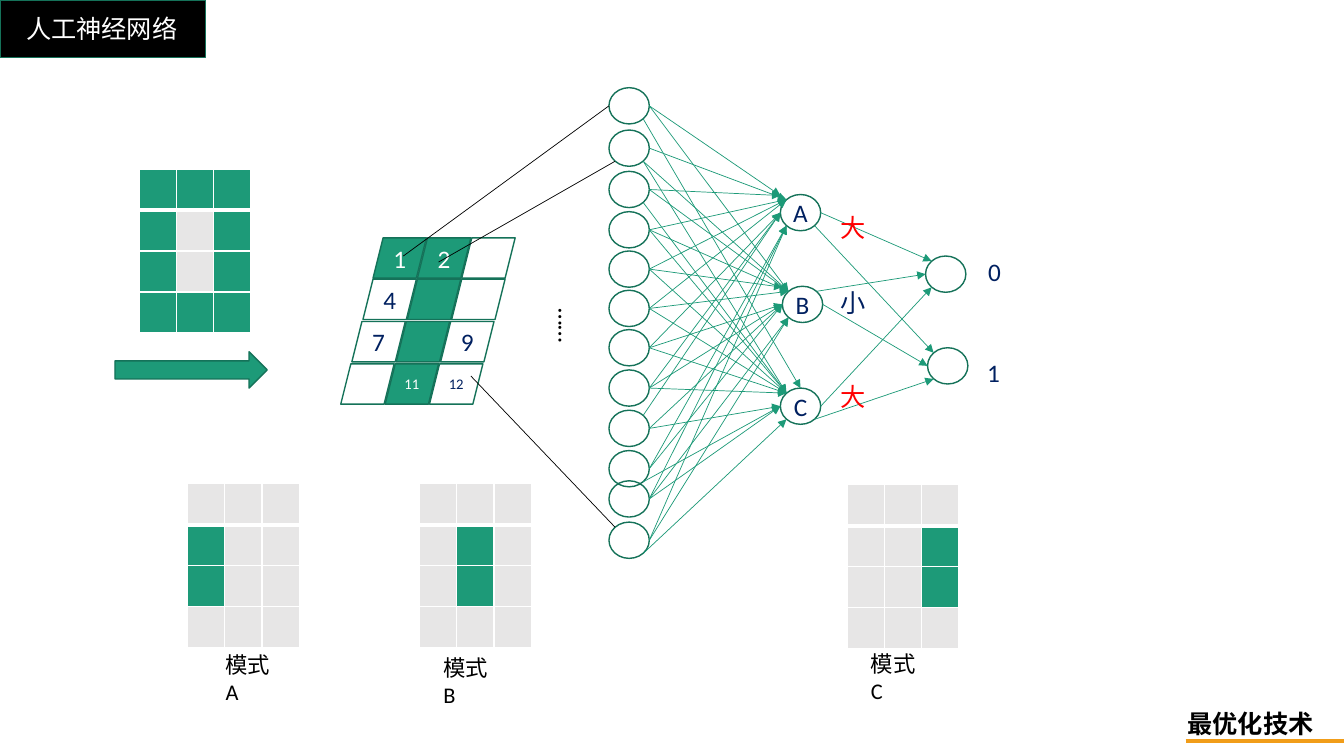
from lxml import etree
from pptx import Presentation
from pptx.dml.color import RGBColor
from pptx.enum.shapes import MSO_CONNECTOR, MSO_SHAPE
from pptx.enum.text import MSO_ANCHOR, PP_ALIGN
from pptx.oxml.ns import qn
from pptx.util import Inches, Pt

LINE = MSO_CONNECTOR.STRAIGHT
RECT, OVAL = MSO_SHAPE.RECTANGLE, MSO_SHAPE.OVAL
SLANT, ARROW = MSO_SHAPE.PARALLELOGRAM, MSO_SHAPE.RIGHT_ARROW
MID, LEFT, CENTER = MSO_ANCHOR.MIDDLE, PP_ALIGN.LEFT, PP_ALIGN.CENTER

FONT = "Calibri"
COLORS = {"green": "1D9A78", "edge": "157259", "gray": "E7E6E6", "navy": "002060",
          "black": "000000", "white": "FFFFFF", "red": "FF0000", "gold": "F19D19"}

# Slanted pixel grid: left, top, then (text, filled) per cell
PIXELS = [
    (3.70, 2.36, [("1", True), ("2", True), ("", False)]),
    (3.60, 2.77, [("4", False), ("", True), ("", False)]),
    (3.49, 3.19, [("7", False), ("", True), ("9", False)]),
    (3.38, 3.61, [("", False), ("11", True), ("12", False)]),
]
SLANT_W, SLANT_H, SLANT_STEP = 0.53, 0.4, 0.44

# Tables: left, top, rows of cells where # is green
GRIDS = [
    (1.38, 1.68, ["###", "#.#", "#.#", "###"]),
    (1.86, 4.80, ["...", "#..", "#..", "..."]),
    (4.16, 4.80, ["...", ".#.", ".#.", "..."]),
    (8.40, 4.81, ["...", "..#", "..#", "..."]),
]
CELL_W, CELL_H = 0.37, 0.4

NODE_W, NODE_H = 0.4, 0.36
INPUT_X = 6.04
INPUT_TOPS = [0.87, 1.29, 1.70, 2.10, 2.49, 2.88, 3.27, 3.67, 4.07, 4.47, 4.77, 5.18]
HIDDEN = {"A": (7.74, 1.93), "B": (7.76, 2.84), "C": (7.74, 3.85)}
OUTPUT = {"0": (9.18, 2.54), "1": (9.20, 3.45)}

# Points on a node, as offsets from its left top corner
SITES = {"c": (0, 0.01), "t": (0.2, 0), "l": (0, 0.18), "r": (0.4, 0.18),
         "tl": (0.06, 0.05), "tr": (0.34, 0.05), "bl": (0.06, 0.31), "br": (0.34, 0.31)}
# One row per input node: its links to A, B and C
LINKS = [
    "r>c r>tl br>t",
    "r>tl br>tl br>tl",
    "r>c r>tl br>tl",
    "r>tl r>tl r>tl",
    "r>tl r>c r>tl",
    "r>tl r>tl r>tl",
    "r>l r>l r>tl",
    "r>l r>l r>tl",
    "tr>l r>l r>l",
    "r>bl r>l br>l",
    "r>bl r>bl r>l",
    "r>bl r>bl br>bl",
]
# One row per hidden node: its links to 0 and 1
OUT_LINKS = {"A": "r>tl br>tl", "B": "tr>l r>l", "C": "r>bl br>bl"}
RAYS = [((4.35, 2.6), (6.1, 1.6)), ((4.67, 3.73), (6.1, 5.23)), ((4, 2.54), (6.04, 1.05))]

# Text, box, size, colour, bold, align, wrap
LABELS = [
    ("最优化技术", (11.68, 6.98, 1.46, 0.4), 18, "black", True, LEFT, False),
    ("人工神经网络", (0.16, 0.08, 1.72, 0.4), 18, "white", False, LEFT, False),
    ("模式A", (2.14, 6.41, 0.7, 0.62), 16, "black", False, LEFT, True),
    ("模式B", (4.30, 6.44, 0.7, 0.62), 16, "black", False, LEFT, True),
    ("模式C", (8.54, 6.40, 0.7, 0.62), 16, "black", False, LEFT, True),
    ("0", (9.70, 2.49, 0.33, 0.4), 18, "navy", False, CENTER, False),
    ("1", (9.69, 3.50, 0.33, 0.4), 18, "navy", False, CENTER, False),
]
# Text, colour, points of space before
WEIGHTS = [("大", "red", 0), ("小", "navy", 32), ("大", "red", 45)]

prs = Presentation()
prs.slide_width, prs.slide_height = Inches(13.33), Inches(7.5)
slide = prs.slides.add_slide(prs.slide_layouts[6])
shapes = slide.shapes


def rgb(name):
    return RGBColor.from_string(COLORS[name])


def add_run(para, text, size, color, bold=False):
    run = para.add_run()
    run.text = text
    font = run.font
    font.name, font.size, font.bold = FONT, Pt(size), bold
    font.color.rgb = rgb(color)


def add_shape(kind, box, fill=None, text="", size=18, color="navy"):
    shape = shapes.add_shape(kind, *map(Inches, box))
    shape.shadow.inherit = False
    if fill:
        shape.fill.solid()
        shape.fill.fore_color.rgb = rgb(fill)
    else:
        shape.fill.background()
    shape.line.color.rgb = rgb("edge")
    shape.line.width = Pt(1)
    if text:
        frame = shape.text_frame
        frame.margin_left = frame.margin_right = 0
        frame.margin_top = frame.margin_bottom = 0
        frame.vertical_anchor = MID
        frame.paragraphs[0].alignment = CENTER
        add_run(frame.paragraphs[0], text, size, color)


def add_line(start, end, color, width=0.5, head=False):
    line = shapes.add_connector(LINE, *map(Inches, (*start, *end)))
    line.line.color.rgb = rgb(color)
    line.line.width = Pt(width)
    if head:
        ln = line.line._get_or_add_ln()
        etree.SubElement(ln, qn("a:tailEnd"), type="triangle")
    etree.SubElement(line._element.spPr, qn("a:effectLst"))


def add_box(box, wrap=False):
    frame = shapes.add_textbox(*map(Inches, box)).text_frame
    frame.word_wrap = wrap
    return frame


def link(start, targets, plan):
    """Draw one arrow per target, between the sites the plan names."""
    for end, step in zip(targets, plan.split()):
        ends = [(x + SITES[s][0], y + SITES[s][1])
                for (x, y), s in zip((start, end), step.split(">"))]
        add_line(*ends, "green", head=True)


def add_border(cell, side, width):
    ln = etree.SubElement(cell._tc.get_or_add_tcPr(), qn("a:ln" + side), w=str(Pt(width)))
    fill = etree.SubElement(ln, qn("a:solidFill"))
    etree.SubElement(fill, qn("a:srgbClr"), val=COLORS["white"])


def add_grid(left, top, rows):
    count = len(rows[0])
    box = (left, top, CELL_W * count, CELL_H * len(rows))
    table = shapes.add_table(len(rows), count, *map(Inches, box)).table
    table.first_row = table.horz_banding = False
    for r, row in enumerate(rows):
        table.rows[r].height = Inches(CELL_H)
        for c, mark in enumerate(row):
            cell = table.cell(r, c)
            for side in "LRTB":
                thick = (r, side) in ((0, "B"), (1, "T"))
                add_border(cell, side, 3 if thick else 1)
            cell.fill.solid()
            cell.fill.fore_color.rgb = rgb("green" if mark == "#" else "gray")


add_shape(RECT, (0, 0, 2.04, 0.57), "black")
add_line((11.76, 7.35), (13.33, 7.35), "gold", 2.5)

for left, top, cells in PIXELS:
    for col, (text, on) in enumerate(cells):
        add_shape(SLANT, (left + col * SLANT_STEP, top, SLANT_W, SLANT_H),
                  "green" if on else None, text, 10.5 if len(text) > 1 else 18,
                  "white" if on else "navy")

inputs = [(INPUT_X, top) for top in INPUT_TOPS]
for spot in inputs + list(OUTPUT.values()):
    add_shape(OVAL, (*spot, NODE_W, NODE_H))
for name, spot in HIDDEN.items():
    add_shape(OVAL, (*spot, NODE_W, NODE_H), text=name)
for spot, plan in zip(inputs, LINKS):
    link(spot, HIDDEN.values(), plan)
for name, plan in OUT_LINKS.items():
    link(HIDDEN[name], OUTPUT.values(), plan)
for start, end in RAYS:
    add_line(start, end, "black")

for grid in GRIDS:
    add_grid(*grid)
add_shape(ARROW, (1.14, 3.49, 1.51, 0.36), "green")

for text, box, size, color, bold, align, wrap in LABELS:
    para = add_box(box, wrap).paragraphs[0]
    para.alignment = align
    add_run(para, text, size, color, bold)

dots = add_box((5.34, 2.96, 0.5, 0.45))
dots._txBody.bodyPr.set("vert", "eaVert")
add_run(dots.paragraphs[0], "……", 18, "black")

frame = add_box((8.24, 2.05, 0.5, 2.1))
for i, (text, color, gap) in enumerate(WEIGHTS):
    para = frame.add_paragraph() if i else frame.paragraphs[0]
    para.line_spacing = Pt(22)
    if gap:
        para.space_before = Pt(gap)
    add_run(para, text, 18, color)

prs.save("out.pptx")
